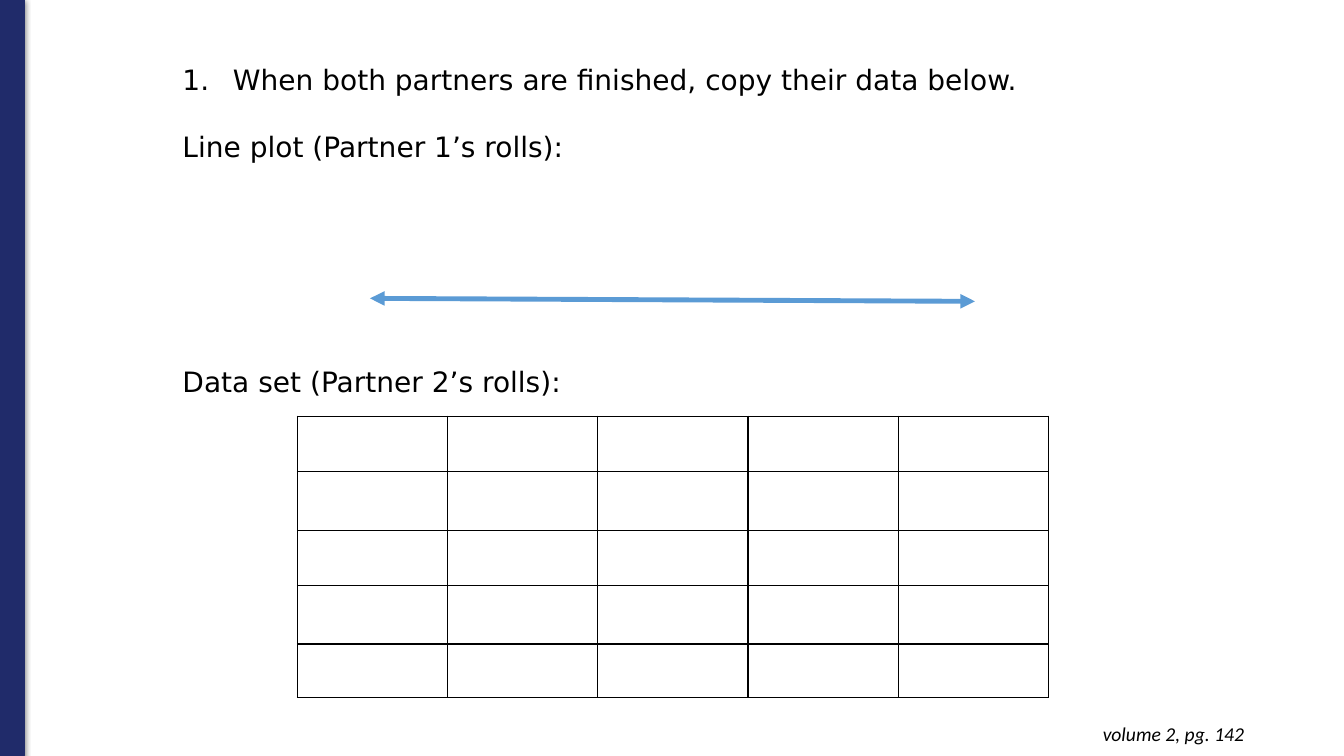
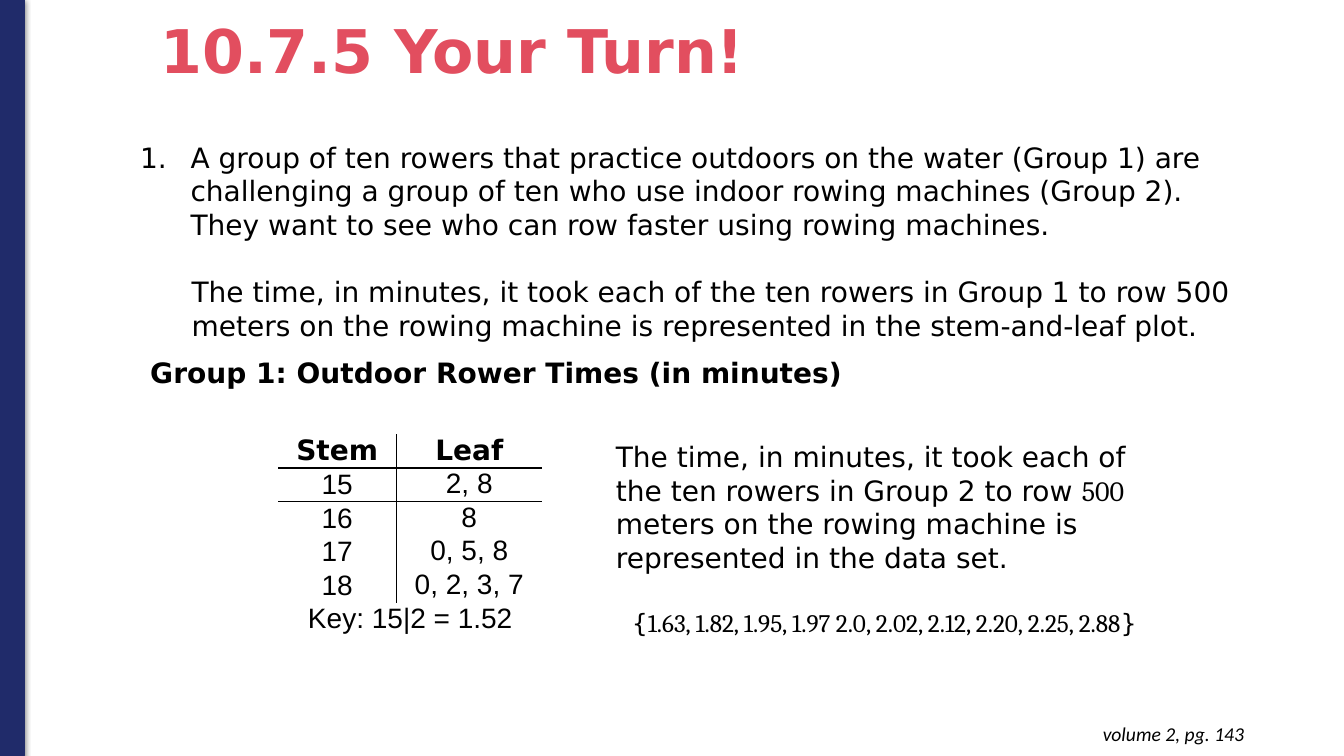
from dataclasses import dataclass

from lxml.etree import SubElement
from pptx import Presentation
from pptx.dml.color import RGBColor
from pptx.enum.shapes import MSO_CONNECTOR, MSO_SHAPE
from pptx.enum.text import MSO_ANCHOR, MSO_AUTO_SIZE, PP_ALIGN
from pptx.oxml.ns import qn
from pptx.slide import Slide
from pptx.table import Table, _Cell
from pptx.text.text import TextFrame
from pptx.util import Inches, Pt

COLOURS = {
    "band": "202B6A",
    "title": "E24E5F",
    "text": "000000",
    "arrow": "5B9BD5",
    "border": "000000",
}
MAIN_FONT = "DejaVu Sans"
MATH_FONT = "Cambria"
BLANK_LINE = 24
NO_TABLE_STYLE = "{2D5ABB26-0587-4C30-8999-92F81FD0307C}"
BORDER_TAGS = {"left": "a:lnL", "right": "a:lnR", "top": "a:lnT", "bottom": "a:lnB"}


@dataclass(frozen=True)
class Box:
    left: float
    top: float
    width: float
    height: float

    def lengths(self) -> tuple[int, int, int, int]:
        return (Inches(self.left), Inches(self.top), Inches(self.width), Inches(self.height))


@dataclass(frozen=True)
class Run:
    text: str
    size: float = 20
    font: str = MAIN_FONT
    bold: bool = False
    italic: bool = False
    colour: str = "text"


@dataclass(frozen=True)
class Block:
    """One paragraph; indent in inches, space before in points."""
    runs: tuple[Run, ...]
    indent: float = 0
    before: float = 0
    numbered: bool = False
    align: PP_ALIGN = PP_ALIGN.LEFT
    line_spacing: float = 1.0


def colour(name: str) -> RGBColor:
    return RGBColor.from_string(COLOURS[name])


def add_solid_fill(parent, name: str):
    fill = SubElement(parent, qn("a:solidFill"))
    return SubElement(fill, qn("a:srgbClr"), val=COLOURS[name])


def write_blocks(frame: TextFrame, blocks: list[Block]) -> None:
    for index, block in enumerate(blocks):
        paragraph = frame.paragraphs[0] if index == 0 else frame.add_paragraph()
        properties = paragraph._p.get_or_add_pPr()
        properties.set("marL", str(Inches(block.indent)))
        properties.set("indent", str(-Inches(block.indent) if block.numbered else 0))
        if block.numbered:
            SubElement(properties, qn("a:buAutoNum"), type="arabicPeriod")
        else:
            SubElement(properties, qn("a:buNone"))
        paragraph.alignment = block.align
        paragraph.line_spacing = block.line_spacing
        paragraph.space_before = Pt(block.before)
        for item in block.runs:
            run = paragraph.add_run()
            run.text = item.text
            run.font.name = item.font
            run.font.size = Pt(item.size)
            run.font.bold = item.bold
            run.font.italic = item.italic
            run.font.color.rgb = colour(item.colour)


def fill_placeholder(shape, box: Box, blocks: list[Block], anchor: MSO_ANCHOR) -> None:
    shape.left, shape.top, shape.width, shape.height = box.lengths()
    frame = shape.text_frame
    frame.auto_size = MSO_AUTO_SIZE.NONE
    frame.word_wrap = True
    frame.vertical_anchor = anchor
    write_blocks(frame, blocks)


def add_text(slide: Slide, box: Box, blocks: list[Block], inset: float = 0.05) -> None:
    frame = slide.shapes.add_textbox(*box.lengths()).text_frame
    frame.word_wrap = True
    frame.margin_top = frame.margin_bottom = Inches(inset)
    write_blocks(frame, blocks)


def add_band(slide: Slide) -> None:
    band = slide.shapes.add_shape(MSO_SHAPE.RECTANGLE, *Box(0, -0.01, 0.24, 7.51).lengths())
    band.fill.solid()
    band.fill.fore_color.rgb = colour("band")
    band.line.color.rgb = colour("band")
    band.line.width = Pt(0.75)
    band.shadow.inherit = False
    effects = band._element.spPr.find(qn("a:effectLst"))
    shadow = SubElement(effects, qn("a:outerShdw"), blurRad=str(Pt(4.5)),
                        dist=str(Pt(1.5)), dir="5400000", rotWithShape="0")
    shade = SubElement(shadow, qn("a:srgbClr"), val="000000")
    SubElement(shade, qn("a:alpha"), val="50000")


def start_slide(presentation, page: int, title: str = "") -> Slide:
    """Add a slide with the side band, the page reference and an optional title."""
    slide = presentation.slides.add_slide(presentation.slide_layouts[1])
    add_band(slide)
    reference = Run(f"volume 2, pg. {page}", 14, "Calibri", italic=True)
    add_text(slide, Box(9.56, 7.06, 2.88, 0.44),
             [Block((reference,), align=PP_ALIGN.RIGHT)], inset=0.1)
    title_shape = slide.shapes.title
    if title:
        heading = Block((Run(title, 43, bold=True, colour="title"),), line_spacing=0.9)
        fill_placeholder(title_shape, Box(1.49, 0.13, 8.77, 0.82), [heading], MSO_ANCHOR.MIDDLE)
    else:
        title_shape._element.getparent().remove(title_shape._element)
    return slide


def add_body(slide: Slide, box: Box, blocks: list[Block]) -> None:
    fill_placeholder(slide.placeholders[1], box, blocks, MSO_ANCHOR.TOP)


def add_number_line(slide: Slide) -> None:
    line = slide.shapes.add_connector(MSO_CONNECTOR.STRAIGHT, Inches(3.67), Inches(2.96),
                                      Inches(9.67), Inches(2.99))
    line.line.color.rgb = colour("arrow")
    line.line.width = Pt(3.5)
    outline = line.line._get_or_add_ln()
    for end in ("a:headEnd", "a:tailEnd"):
        SubElement(outline, qn(end), type="triangle")
    SubElement(line._element.spPr, qn("a:effectLst"))


def add_plain_table(slide: Slide, box: Box, columns: list[float], rows: list[float]) -> Table:
    table = slide.shapes.add_table(len(rows), len(columns), *box.lengths()).table
    table.first_row = table.horz_banding = False
    table._tbl.tblPr.find(qn("a:tableStyleId")).text = NO_TABLE_STYLE
    for column, width in zip(table.columns, columns):
        column.width = Inches(width)
    for row, height in zip(table.rows, rows):
        row.height = Inches(height)
    return table


def format_cell(cell: _Cell, sides: set[str]) -> None:
    """Draw the chosen borders and leave the cell without fill."""
    properties = cell._tc.get_or_add_tcPr()
    for side, tag in BORDER_TAGS.items():
        if side in sides:
            border = SubElement(properties, qn(tag), w=str(Pt(1)))
            add_solid_fill(border, "border")
    cell.fill.background()


def add_data_grid(slide: Slide) -> None:
    table = add_plain_table(slide, Box(2.95, 4.13, 7.43, 2.8), [1.49] * 5,
                            [0.55, 0.58, 0.55, 0.58, 0.53])
    for cell in table.iter_cells():
        format_cell(cell, set(BORDER_TAGS))


def add_stem_and_leaf(slide: Slide) -> None:
    rows = [("Stem", "Leaf"), ("15", "2, 8"), ("16", "8"), ("17", "0, 5, 8"),
            ("18", "0, 2, 3, 7"), ("Key: 15|2 = 1.52", "")]
    key_row = len(rows) - 1
    table = add_plain_table(slide, Box(2.76, 4.31, 2.62, 2), [1.17, 1.45], [0.33] * len(rows))
    table.cell(key_row, 0).merge(table.cell(key_row, 1))
    for row, texts in enumerate(rows):
        for column, text in enumerate(texts):
            cell = table.cell(row, column)
            sides = set()
            if row < key_row:
                sides.add("left" if column else "right")
            if row < 2:
                sides.add("top" if row else "bottom")
            format_cell(cell, sides)
            cell.margin_left = cell.margin_right = Inches(0.07)
            cell.margin_top = cell.margin_bottom = 0
            if column == 0 and 0 < row < key_row:
                cell.vertical_anchor = MSO_ANCHOR.MIDDLE
            if text:
                run = Run(text, font="Arial") if row else Run(text, bold=True)
                write_blocks(cell.text_frame, [Block((run,), align=PP_ALIGN.CENTER)])


def add_partner_slide(presentation) -> None:
    slide = start_slide(presentation, 142)
    add_body(slide, Box(1.71, 0.57, 10.08, 4.14), [
        Block((Run("When both partners are finished, copy their data below."),),
              indent=0.5, numbered=True),
        Block((Run("Line plot (Partner 1’s rolls):"),), before=BLANK_LINE),
        Block((Run("Data set (Partner 2’s rolls):"),), before=6 * BLANK_LINE),
    ])
    add_number_line(slide)
    add_data_grid(slide)


def add_rowers_slide(presentation) -> None:
    slide = start_slide(presentation, 143, "10.7.5 Your Turn!")
    add_body(slide, Box(1.29, 1.34, 11.22, 2.59), [
        Block((Run("A group of ten rowers that practice outdoors on the water (Group 1) are "
                   "challenging a group of ten who use indoor rowing machines (Group 2). "
                   "They want to see who can row faster using rowing machines."),),
              indent=0.5, numbered=True),
        Block((Run("The time, in minutes, it took each of the ten rowers in Group 1 to row 500 "
                   "meters on the rowing machine is represented in the stem-and-leaf plot."),),
              indent=0.51, before=BLANK_LINE),
        Block((Run("Group 1: Outdoor Rower Times (in minutes)", bold=True),),
              indent=0.1, before=9.6),
    ])
    add_stem_and_leaf(slide)
    add_text(slide, Box(5.51, 4.31, 6.02, 2.09), [
        Block((Run("The time, in minutes, it took each of the ten rowers in Group 2 to row "),
               Run("500", font=MATH_FONT),
               Run(" meters on the rowing machine is represented in the data set.")), indent=0.5),
        Block((Run("{", 18),
               Run("1.63, 1.82, 1.95, 1.97 2.0, 2.02, 2.12, 2.20, 2.25, 2.88", 18, MATH_FONT),
               Run("}", 18)),
              indent=0.5, before=BLANK_LINE, align=PP_ALIGN.CENTER),
    ])


def main() -> None:
    presentation = Presentation()
    presentation.slide_width = Inches(13.33)
    presentation.slide_height = Inches(7.5)
    add_partner_slide(presentation)
    add_rowers_slide(presentation)
    presentation.save("out.pptx")


if __name__ == "__main__":
    main()
